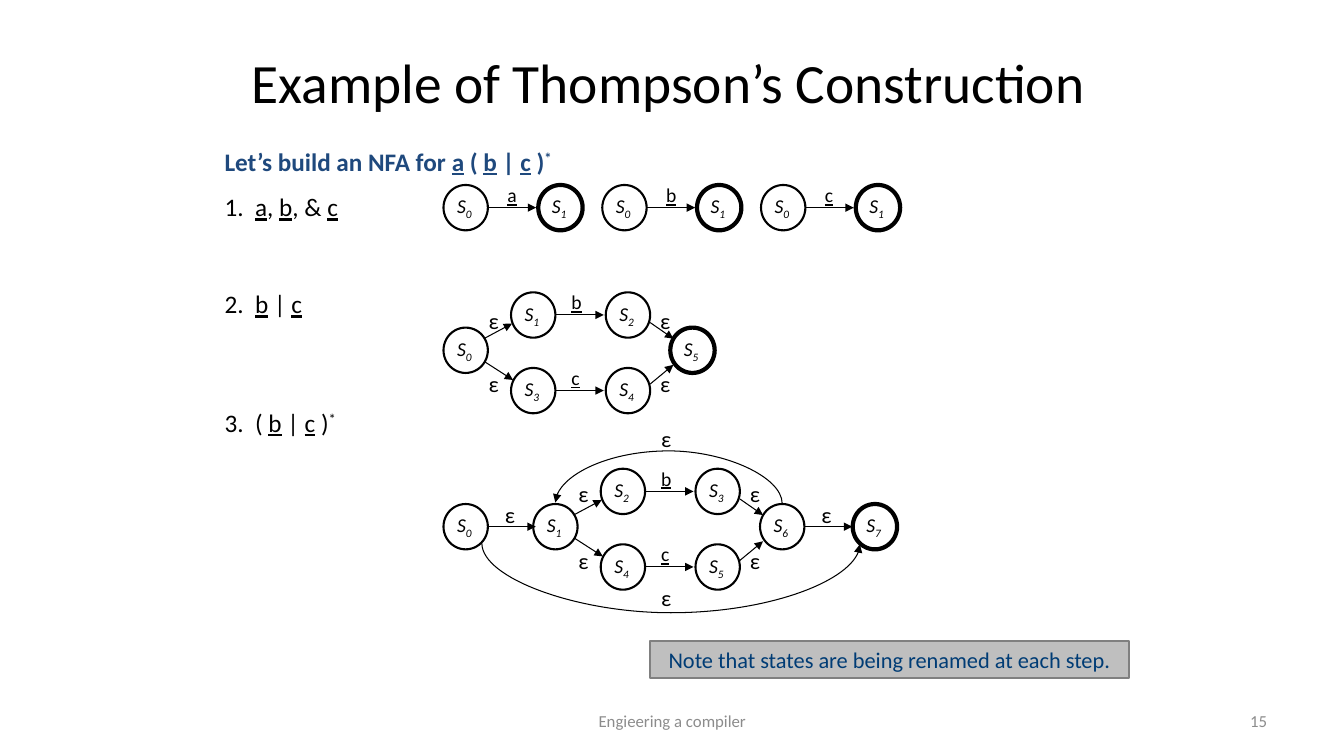
from dataclasses import dataclass
from typing import NamedTuple

from lxml.etree import SubElement
from pptx import Presentation
from pptx.dml.color import RGBColor
from pptx.enum.shapes import MSO_CONNECTOR, MSO_SHAPE
from pptx.enum.text import MSO_ANCHOR, PP_ALIGN
from pptx.oxml.ns import qn
from pptx.util import Inches, Pt

CELL = 0.1  # grid pitch in inches; every length below counts columns or rows
COLUMNS, ROWS = 133.33, 75


@dataclass(frozen=True)
class Theme:
    font: str = "Calibri"
    black: str = "000000"
    heading: str = "1F497D"
    note_text: str = "003C75"
    note_fill: str = "BFBFBF"
    note_line: str = "808080"
    footer: str = "8C8C8C"
    title_size: float = 39.6
    body_size: float = 18
    epsilon_size: float = 16
    symbol_size: float = 14
    footer_size: float = 12
    thin: float = 0.75
    regular: float = 1.5
    accepting: float = 3


class Point(NamedTuple):
    column: float
    row: float

    def shift(self, columns: float, rows: float) -> "Point":
        return Point(self.column + columns, self.row + rows)


class Step(NamedTuple):
    text: str  # _x_ underlines x, a trailing * is raised
    space: float  # space before, in shares of the type size
    heading: bool = False


THEME = Theme()
STATE_WIDTH, STATE_HEIGHT = 4.4, 4.5
ARM_PITCH = 9.4  # from one state of an arm to the next

STEPS = [
    Step("Let’s build an NFA for _a_ ( _b_ | _c_ )*", 0.25, heading=True),
    Step("1.  _a_, _b_, & _c_", 0.6),
    Step("2.  _b_ | _c_", 2.65),
    Step("3.  ( _b_ | _c_ )*", 3.5),
]

deck = Presentation()
deck.slide_width, deck.slide_height = Inches(COLUMNS * CELL), Inches(ROWS * CELL)
page = deck.slides.add_slide(deck.slide_layouts[6])


def cells(*counts: float) -> list:
    return [Inches(count * CELL) for count in counts]


# Text
def add_span(para, text: str, *, size: float, color: str = THEME.black, bold=False,
             italic=False, underline=False, baseline: int = 0) -> None:
    span = para.add_run()
    span.text = text
    span.font.name, span.font.size = THEME.font, Pt(size)
    span.font.color.rgb = RGBColor.from_string(color)
    span.font.bold, span.font.italic, span.font.underline = bold, italic, underline
    if baseline:
        span.font._element.set("baseline", str(baseline * 1000))


def add_text(at: Point, width: float, height: float, text: str, *, size: float,
             align=PP_ALIGN.LEFT, anchor=MSO_ANCHOR.TOP, space: float = 0, **style) -> None:
    box = page.shapes.add_textbox(*cells(*at, width, height))
    frame = box.text_frame
    frame.word_wrap, frame.vertical_anchor = True, anchor
    para = frame.paragraphs[0]
    para.alignment, para.space_before = align, Pt(size * space)
    add_span(para, text, size=size, **style)


def add_steps(at: Point, width: float, height: float) -> None:
    frame = page.shapes.add_textbox(*cells(*at, width, height)).text_frame
    frame.word_wrap = True
    for index, step in enumerate(STEPS):
        para = frame.add_paragraph() if index else frame.paragraphs[0]
        para.space_before = Pt(THEME.body_size * step.space)
        hanging = Inches(3.8 * CELL)
        para._p.get_or_add_pPr().set("marL", str(hanging))
        para._p.get_or_add_pPr().set("indent", str(-hanging))
        style = dict(size=THEME.body_size, bold=step.heading,
                     color=THEME.heading if step.heading else THEME.black)
        for part, text in enumerate(step.text.rstrip("*").split("_")):
            add_span(para, text, underline=part % 2 == 1, **style)
        if step.text.endswith("*"):
            add_span(para, "*", baseline=30, **style)


def add_symbol(at: Point, text: str) -> None:
    add_text(at, 2.9, 3.3, text, size=THEME.symbol_size, space=0.5, underline=True)


def add_epsilon(at: Point) -> None:
    add_text(at, 2.9, 3.7, "ε", size=THEME.epsilon_size, space=0.5)


# States and transitions
def add_outlined(kind, at: Point, width: float, height: float, color: str, weight: float):
    shape = page.shapes.add_shape(kind, *cells(*at, width, height))
    shape.shadow.inherit = False
    shape.fill.background()
    shape.line.color.rgb, shape.line.width = RGBColor.from_string(color), Pt(weight)
    para = shape.text_frame.paragraphs[0]
    para.alignment = PP_ALIGN.CENTER
    return shape, para


def add_state(at: Point, number: int, accepting: bool = False) -> None:
    weight = THEME.accepting if accepting else THEME.regular
    shape, para = add_outlined(MSO_SHAPE.OVAL, at, STATE_WIDTH, STATE_HEIGHT,
                               THEME.black, weight)
    shape.text_frame.word_wrap = False
    shape.text_frame.vertical_anchor = MSO_ANCHOR.MIDDLE
    add_span(para, "S", size=THEME.symbol_size, italic=True)
    add_span(para, f"{number} ", size=THEME.symbol_size, italic=True, baseline=-25)


def add_arrow(start: Point, end: Point, kind=MSO_CONNECTOR.STRAIGHT):
    arrow = page.shapes.add_connector(kind, *cells(*start, *end))
    arrow.line.color.rgb, arrow.line.width = RGBColor.from_string(THEME.black), Pt(THEME.thin)
    SubElement(arrow.line._get_or_add_ln(), qn("a:tailEnd"), type="triangle")
    SubElement(arrow._element.spPr, qn("a:effectLst"))
    return arrow


def add_arc(center: Point, span: float, depth: float, turn: int) -> None:
    """Turn 90 bows upward from right to left, 270 downward from left to right."""
    thickness = 0.1
    arc = add_arrow(center.shift(thickness / 2, -span / 2),
                    center.shift(-thickness / 2, span / 2), MSO_CONNECTOR.CURVE)
    properties = arc._element.spPr
    properties.find(qn("a:xfrm")).set("rot", str(turn * 60000))
    guides = properties.find(qn("a:prstGeom")).find(qn("a:avLst"))
    SubElement(guides, qn("a:gd"), name="adj1", fmla=f"val {round(depth / thickness * 100000)}")


def add_arm(at: Point, first: int, symbol: str, symbol_column: float = 5,
            accepting: bool = False) -> None:
    add_state(at, first)
    add_state(at.shift(ARM_PITCH, 0), first + 1, accepting)
    add_arrow(at.shift(4.4, 2.25), at.shift(9.2, 2.25))
    add_symbol(at.shift(symbol_column, -0.7), symbol)


def add_choice(at: Point, first: int, upper_epsilon: float, accepting: bool = False) -> None:
    add_state(at, first)
    add_arm(at.shift(6.7, -3.5), first + 1, "b")
    add_arm(at.shift(6.7, 4), first + 3, "c")
    add_state(at.shift(22.5, 0), first + 5, accepting)
    add_arrow(at.shift(4, 1.1), at.shift(6.8, -0.4))
    add_arrow(at.shift(4.1, 3.4), at.shift(6.9, 5.2))
    add_arrow(at.shift(20.5, -0.5), at.shift(22.8, 1.1))
    add_arrow(at.shift(20.5, 5.6), at.shift(22.8, 3.7))
    for column in (3.5, 20.5):
        for row in (upper_epsilon, 3.75):
            add_epsilon(at.shift(column, row))


# Title and numbered steps
add_text(Point(21.3, 1.8), 90, 12.5, "Example of Thompson’s Construction", size=THEME.title_size,
         align=PP_ALIGN.CENTER, anchor=MSO_ANCHOR.MIDDLE, space=0.25)
add_steps(Point(21.3, 14), 90, 49.5)

# Step 1: one automaton per symbol
for index, symbol in enumerate("abc"):
    add_arm(Point(44 + 15.75 * index, 18.35), 0, symbol, 5.35, accepting=True)

# Step 2: choice
add_choice(Point(44, 32.5), 0, -2.55, accepting=True)

# Step 3: closure
loop = Point(44, 50)
add_arc(Point(66.35, 49.9), 22.5, 5.3, 90)
add_choice(loop.shift(8.9, 0), 1, -2.9)
add_state(loop, 0)
add_state(loop.shift(40.6, 0), 7, accepting=True)
for column in (4.4, 35.8):
    add_arrow(loop.shift(column, 2.25), loop.shift(column + 4.75, 2.25))
    add_epsilon(loop.shift(column + 0.7, -0.8))
add_arc(Point(66.55, 53.95), 37.5, 7, 270)
for row in (-8.3, 7.5):
    add_epsilon(loop.shift(20.6, row))

# Note and footer
note, para = add_outlined(MSO_SHAPE.RECTANGLE, Point(64.5, 63.6), 47.5, 3.7,
                          THEME.note_line, THEME.regular)
note.fill.solid()
note.fill.fore_color.rgb = RGBColor.from_string(THEME.note_fill)
add_span(para, "Note that states are being renamed at each step.",
         size=THEME.epsilon_size, color=THEME.note_text)
for at, width, text, align in (
        (Point(45.6, 69.5), 42.2, "Engieering a compiler", PP_ALIGN.CENTER),
        (Point(95.6, 69.5), 31.1, "15", PP_ALIGN.RIGHT)):
    add_text(at, width, 4, text, size=THEME.footer_size, color=THEME.footer,
             align=align, anchor=MSO_ANCHOR.MIDDLE)

deck.save("out.pptx")
